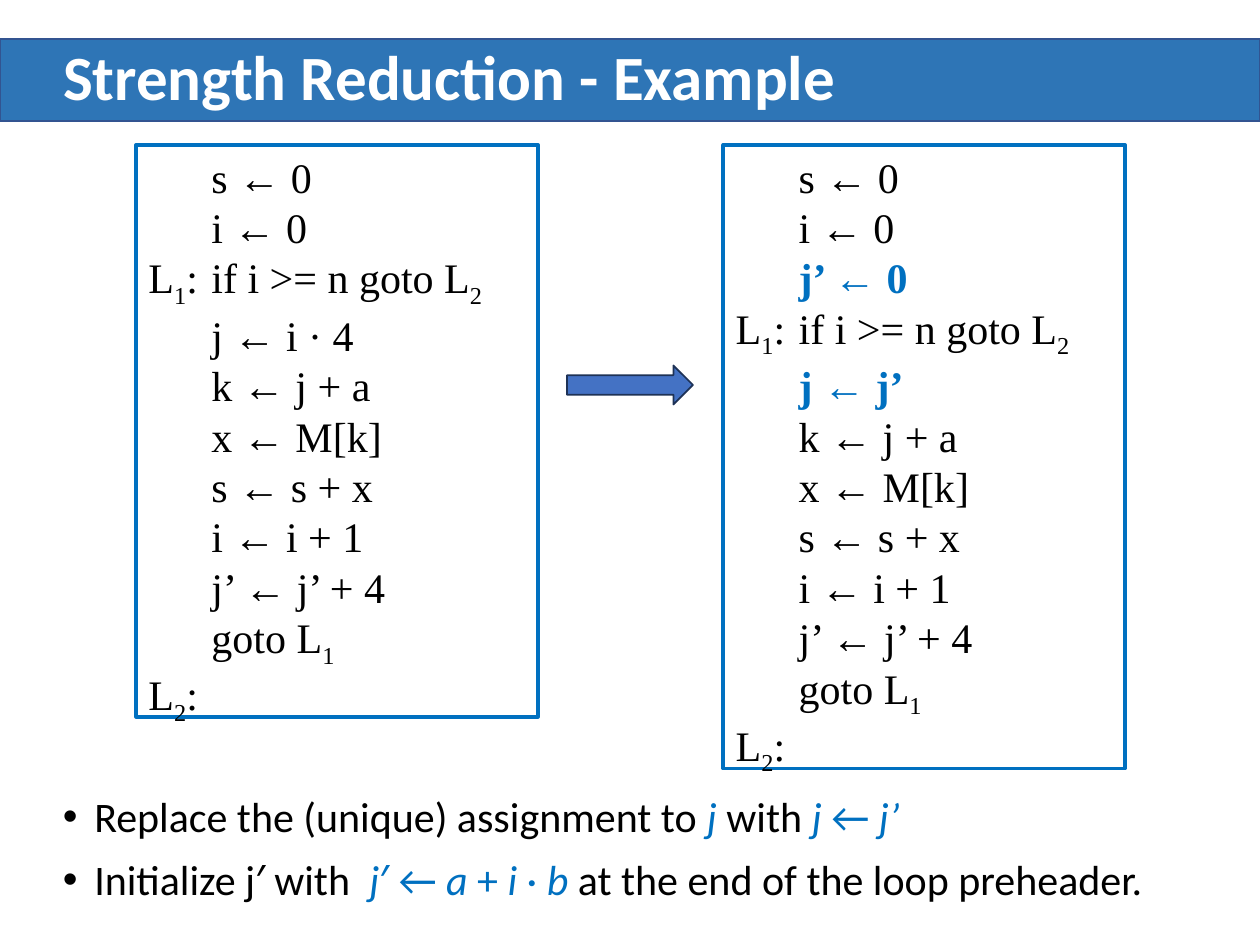
from pptx import Presentation, util as u
from pptx.dml.color import RGBColor
from pptx.enum import shapes, text
from lxml import etree

NS = "{http://schemas.openxmlformats.org/drawingml/2006/main}"
BLUE = "0070C0"
hue = RGBColor.from_string
pt = u.Pt

prs = Presentation()
prs.slide_width, prs.slide_height = u.Inches(10), u.Inches(7.5)
col, row = prs.slide_width / 100, prs.slide_height / 100
slide = prs.slides.add_slide(prs.slide_layouts[5])
tree = slide.shapes


def area(x, y, w, h):
    """Turn percentages of the slide into lengths."""
    return [round(v) for v in (x * col, y * row, w * col, h * row)]


def block(kind, place, fill, line, width):
    shape = tree.add_shape(kind, *area(*place))
    shape.shadow.inherit = False
    if fill:
        shape.fill.solid()
        shape.fill.fore_color.rgb = hue(fill)
    else:
        shape.fill.background()
    shape.line.color.rgb = hue(line)
    shape.line.width = pt(width)
    return shape


# Title on its banner
band = block(shapes.MSO_SHAPE.RECTANGLE, (0, 4.13, 100, 8.67), "2E75B6", "325491", 1)
title = tree.title
band.element.addnext(title.element)
title.left, title.top, title.width, title.height = area(4, 4.13, 92.4, 8.67)
title.text_frame.text = "Strength Reduction - Example"
title.text_frame.vertical_anchor = text.MSO_ANCHOR.MIDDLE
par = title.text_frame.paragraphs[0]
par.alignment = text.PP_ALIGN.LEFT
par.line_spacing = 0.9
par.font.name, par.font.size, par.font.bold = "Calibri", pt(36), True
par.font.color.rgb = hue("FFFFFF")

# Code before and after: _subscript_, *changed*
start = ["\ts ← 0", "\ti ← 0"]
test = "L_1_:\tif i >= n goto L_2_"
rest = ["\tk ← j + a", "\tx ← M[k]", "\ts ← s + x", "\ti ← i + 1",
        "\tj’ ← j’ + 4", "\tgoto L_1_", "L_2_:"]
before = start + [test, "\tj ← i · 4"] + rest
after = start + ["\t*j’ ← 0*", test, "\t*j ← j’*"] + rest

for left, high, code in ((10.8, 60.53, before), (57.4, 66, after)):
    box = block(shapes.MSO_SHAPE.RECTANGLE, (left, 15.33, 31.9, high), None, BLUE, 2)
    frame = box.text_frame
    frame.vertical_anchor = text.MSO_ANCHOR.TOP
    frame.auto_size = text.MSO_AUTO_SIZE.SHAPE_TO_FIT_TEXT
    for n, line in enumerate(code):
        par = frame.paragraphs[0] if n == 0 else frame.add_paragraph()
        par.alignment = text.PP_ALIGN.LEFT
        tabs = etree.SubElement(par._p.get_or_add_pPr(), NS + "tabLst")
        etree.SubElement(tabs, NS + "tab", pos=str(u.Inches(0.5)), algn="l")
        par.font.name, par.font.size = "Times New Roman", pt(24)
        par.font.color.rgb = hue("000000")
        mark = "*" if "*" in line else "_"
        for k, part in enumerate(line.split(mark)):
            if not part:
                continue
            run = par.add_run()
            run.text = part
            if k % 2 and mark == "*":
                run.font.bold = True
                run.font.color.rgb = hue(BLUE)
            elif k % 2:
                run._r.get_or_add_rPr().set("baseline", "-25000")

block(shapes.MSO_SHAPE.RIGHT_ARROW, (45, 38.67, 10, 4.13), "4472C4", "1E3256", 1)

# Bullets: *blue*, with _italic_ inside
notes = ["Replace the (unique) assignment to *_j _*with *_j_ ← _j’_*",
         "Initialize j′ with  *_j_′ ← _a_ + _i_ · _b _*at the end of the loop preheader."]
frame = tree.add_textbox(*area(4, 83.6, 92.4, 13.87)).text_frame
frame.word_wrap = True
for n, note in enumerate(notes):
    par = frame.paragraphs[0] if n == 0 else frame.add_paragraph()
    par.line_spacing = 0.9
    par.space_before = pt(10 if n else 0)
    props = par._p.get_or_add_pPr()
    props.set("marL", str(u.Inches(0.25)))
    props.set("indent", str(u.Inches(-0.25)))
    etree.SubElement(props, NS + "buFont", typeface="Arial")
    etree.SubElement(props, NS + "buChar", char="•")
    par.font.name, par.font.size = "Calibri", pt(24)
    par.font.color.rgb = hue("000000")
    for k, span in enumerate(note.split("*")):
        for m, part in enumerate(span.split("_")):
            if not part:
                continue
            run = par.add_run()
            run.text = part
            if k % 2:
                run.font.color.rgb = hue(BLUE)
                run.font.italic = m % 2 == 1

prs.save("out.pptx")
